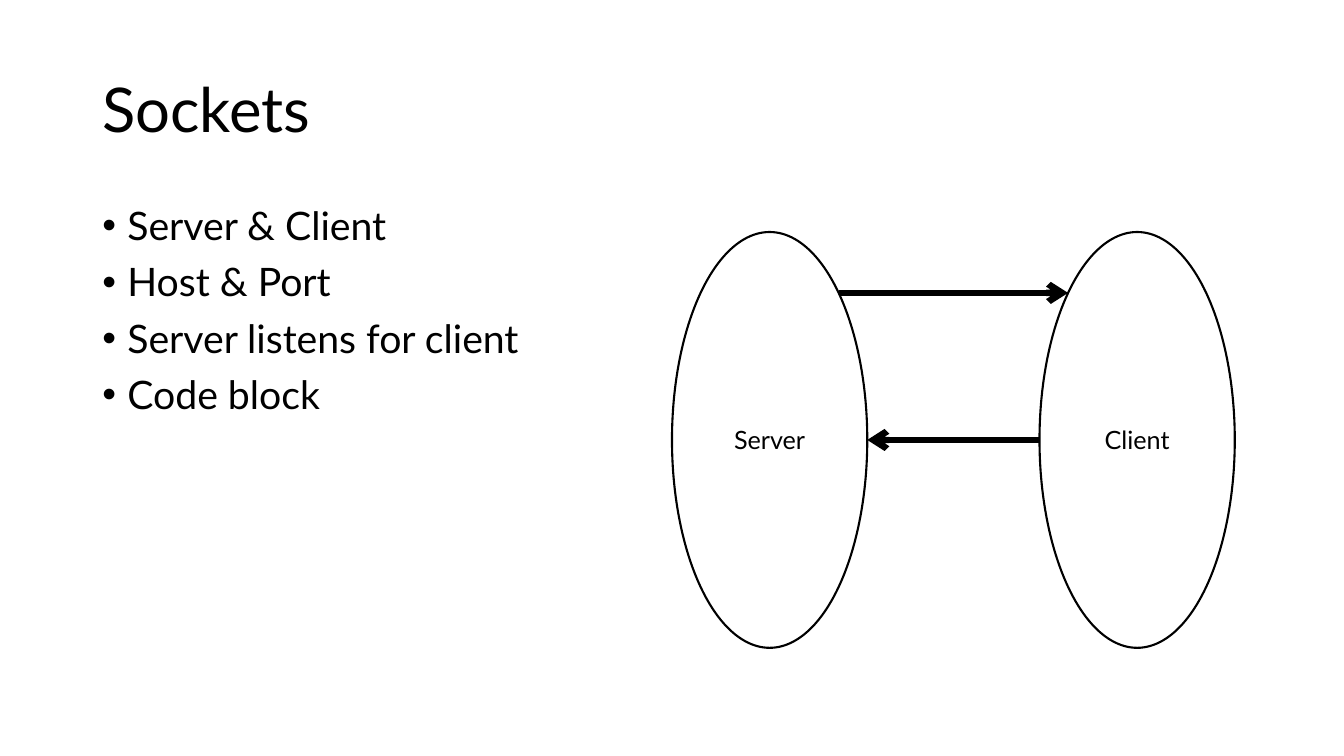
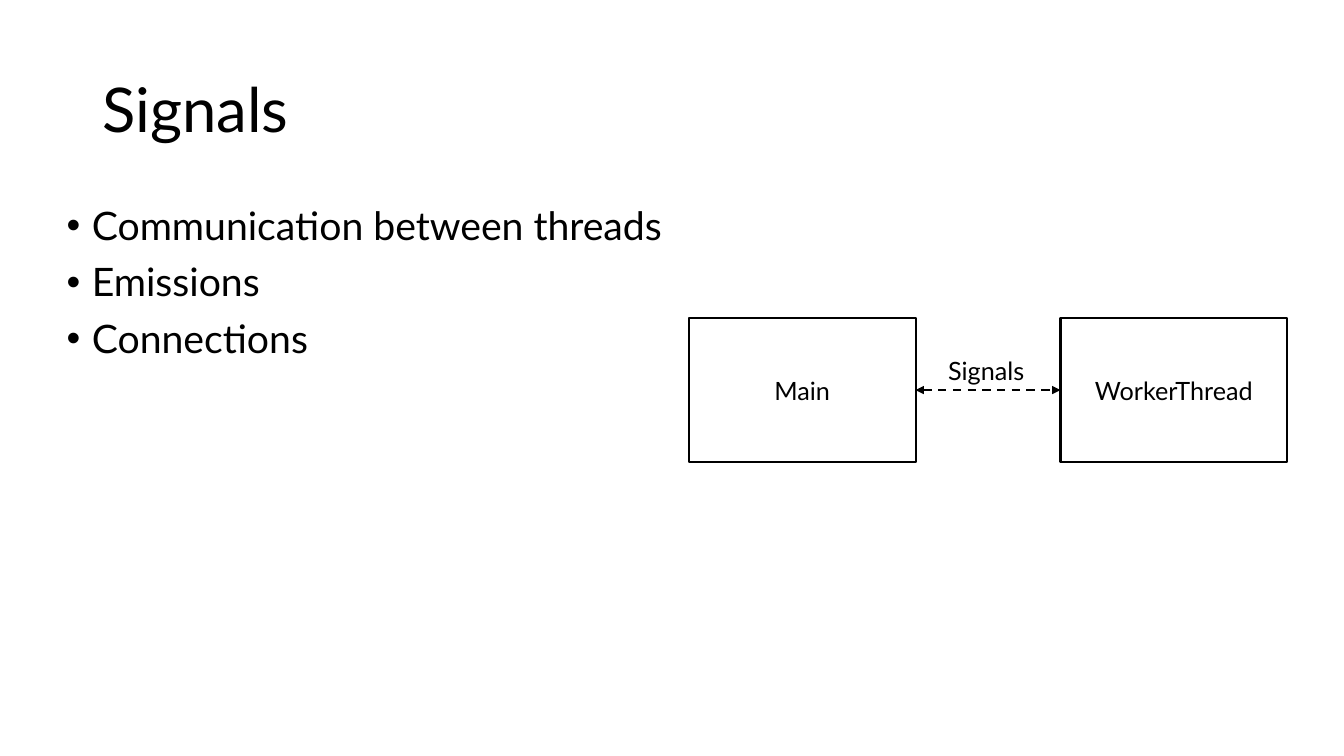
from lxml import etree
from pptx import Presentation
from pptx.dml.color import RGBColor
from pptx.enum import dml, shapes, text
from pptx.oxml import ns
from pptx.util import Emu, Pt

PX = 9525  # EMU in one px, 96 px to the inch
FONT = "Lato"
INK, PAPER = "000000", "FFFFFF"
TITLE_BOX = (88, 38, 1104, 139)


def px(*lengths):
    return [Emu(round(length * PX)) for length in lengths]


def colour(code):
    return RGBColor.from_string(code)


def write(frame, lines, size, align=text.PP_ALIGN.LEFT, anchor=text.MSO_ANCHOR.TOP, wrap=True):
    """Fill a text frame with one paragraph per line."""
    frame.word_wrap = wrap
    frame.vertical_anchor = anchor
    for index, line in enumerate(lines):
        para = frame.add_paragraph() if index else frame.paragraphs[0]
        para.text = line
        para.alignment = align
        para.font.name, para.font.size = FONT, Pt(size)
        para.font.color.rgb = colour(INK)
    return frame.paragraphs


def add_title(page, title):
    box = page.shapes.add_textbox(*px(*TITLE_BOX))
    for para in write(box.text_frame, [title], 44, anchor=text.MSO_ANCHOR.MIDDLE):
        para.line_spacing = 0.9


def add_bullets(page, area, lines):
    box = page.shapes.add_textbox(*px(*area))
    for para in write(box.text_frame, lines, 28):
        para.line_spacing = 0.9
        para.space_before = Pt(10)
        props = para._p.get_or_add_pPr()
        indent = px(24)[0]
        props.set("marL", str(indent))
        props.set("indent", str(-indent))
        etree.SubElement(props, ns.qn("a:buFont"), typeface="Arial")
        etree.SubElement(props, ns.qn("a:buChar"), char="•")
        # Bullets come before the default run properties in the schema
        run_defaults = props.find(ns.qn("a:defRPr"))
        if run_defaults is not None:
            props.append(run_defaults)


def add_node(page, kind, area, label):
    node = page.shapes.add_shape(kind, *px(*area))
    node.shadow.inherit = False
    node.fill.solid()
    node.fill.fore_color.rgb = colour(PAPER)
    node.line.color.rgb = colour(INK)
    node.line.width = Pt(1.5)
    write(node.text_frame, [label], 18, text.PP_ALIGN.CENTER, text.MSO_ANCHOR.MIDDLE)
    return node


def add_arrow(page, start, end, width, ends, dash=None):
    arrow = page.shapes.add_connector(shapes.MSO_CONNECTOR.STRAIGHT, *px(*start, *end))
    arrow.line.color.rgb = colour(INK)
    arrow.line.width = Pt(width)
    if dash:
        arrow.line.dash_style = dash
    line = arrow.line._get_or_add_ln()
    for tag, kind in ends.items():
        etree.SubElement(line, ns.qn(f"a:{tag}"), type=kind)
    etree.SubElement(arrow._element.spPr, ns.qn("a:effectLst"))
    return arrow


def add_node_pair(page, kind, area, node_width, labels):
    """Place two equal nodes at the left and right ends of the area."""
    left, top, width, height = area
    lefts = (left, left + width - node_width)
    return [add_node(page, kind, (x, top, node_width, height), label)
            for x, label in zip(lefts, labels)]


def socket_diagram(page, area, node_width):
    left, top, width, height = area
    add_node_pair(page, shapes.MSO_SHAPE.OVAL, area, node_width, ("Server", "Client"))
    # The upper arrow meets each ellipse at 45 degrees, the lower at its side
    diagonal = (1 - 0.5 ** 0.5) / 2
    inner_left, inner_right = left + node_width, left + width - node_width
    inset = node_width * diagonal
    upper, middle = top + height * diagonal, top + height / 2
    ends = {"tailEnd": "arrow"}
    add_arrow(page, (inner_left - inset, upper), (inner_right + inset, upper), 4.5, ends)
    add_arrow(page, (inner_right, middle), (inner_left, middle), 4.5, ends)


def signal_diagram(page, area, node_width):
    left, top, width, height = area
    main, worker = add_node_pair(page, shapes.MSO_SHAPE.RECTANGLE, area, node_width,
                                 ("Main", "WorkerThread"))
    middle = top + height / 2
    link = add_arrow(page, (left + node_width, middle), (left + width - node_width, middle), 1.5,
                     {"headEnd": "triangle", "tailEnd": "triangle"}, dml.MSO_LINE.DASH)
    link.begin_connect(main, 3)
    link.end_connect(worker, 1)
    # Label centred above the link
    label_width, label_height = 95, 38
    label = page.shapes.add_textbox(*px(left + (width - label_width) / 2, middle - label_height,
                                        label_width, label_height))
    write(label.text_frame, ["Signals"], 18, wrap=False)


def add_page(deck, title, bullet_area, bullets):
    page = deck.slides.add_slide(deck.slide_layouts[6])
    add_title(page, title)
    add_bullets(page, bullet_area, bullets)
    return page


def main():
    deck = Presentation()
    deck.slide_width, deck.slide_height = px(1280, 720)

    sockets = add_page(deck, "Sockets", (88, 192, 1104, 457),
                       ["Server & Client", "Host & Port", "Server listens for client", "Code block"])
    socket_diagram(sockets, (640, 221, 536, 396), 186)

    signals = add_page(deck, "Signals", (54, 192, 587, 457),
                       ["Communication between threads", "Emissions", "Connections"])
    signal_diagram(signals, (656, 303, 570, 137), 216)

    deck.save("out.pptx")


if __name__ == "__main__":
    main()
